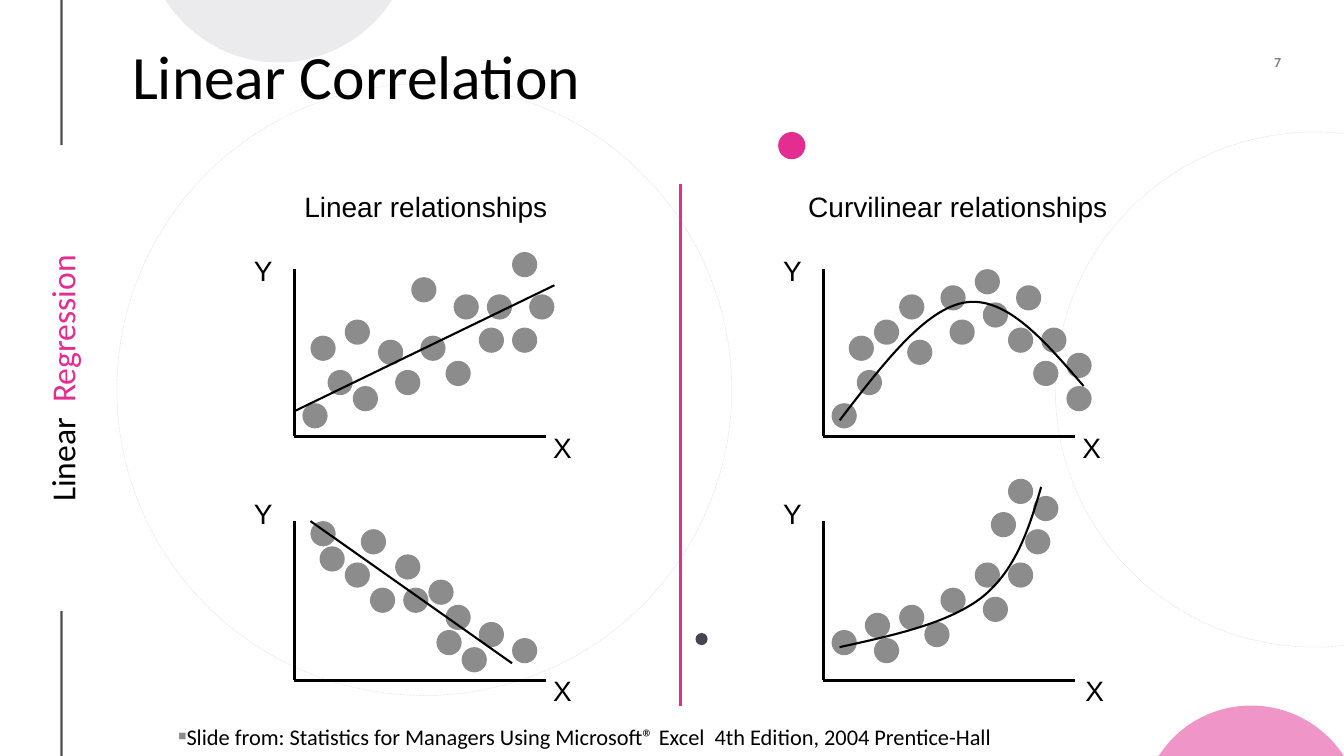
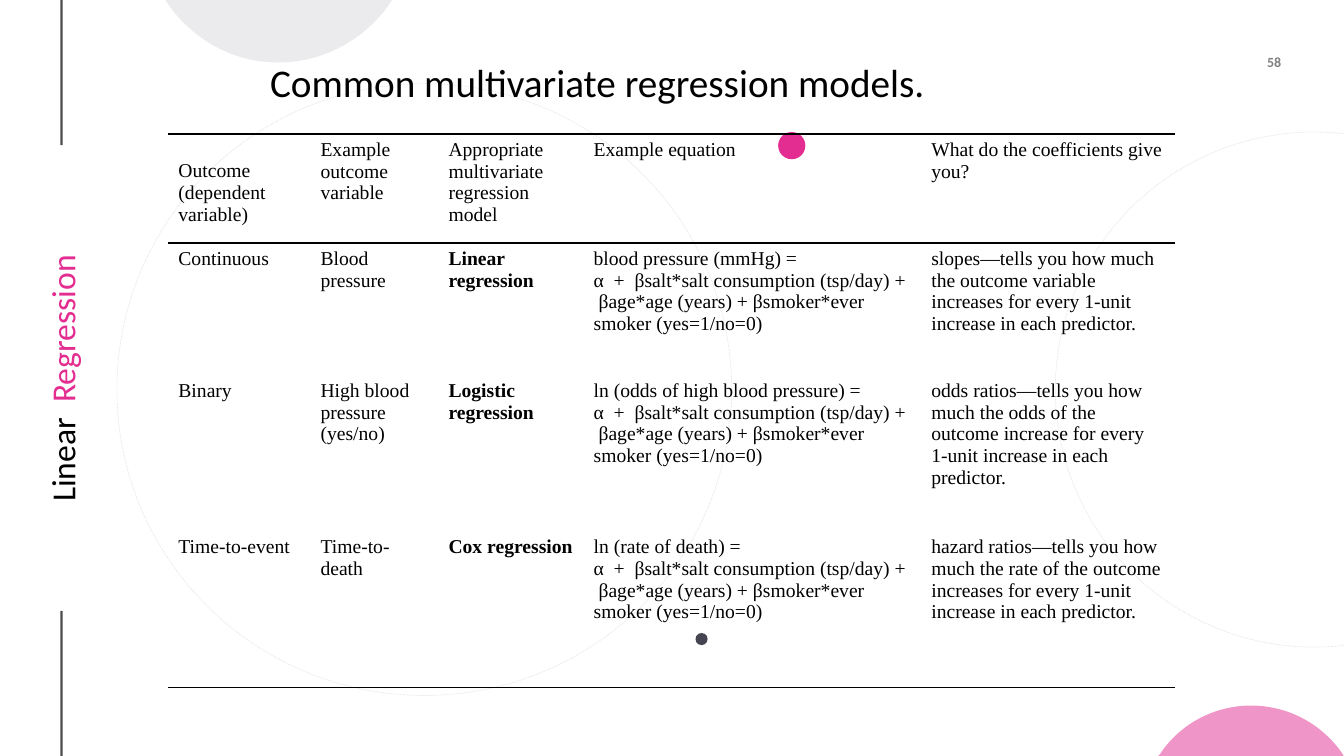
"""Build two regression slides: scatter patterns and a table of models."""
import dataclasses
import typing

import lxml.etree
import pptx
import pptx.dml.color
import pptx.enum.dml
import pptx.enum.shapes
import pptx.enum.text
import pptx.oxml.ns
import pptx.slide
import pptx.util

Inches = pptx.util.Inches
Pt = pptx.util.Pt
qn = pptx.oxml.ns.qn
ALIGN = pptx.enum.text.PP_ALIGN
ANCHOR = pptx.enum.text.MSO_ANCHOR
Point = tuple[float, float]
Area = tuple[float, float, float, float]

COLORS = {"ink": "000000", "pink": "E32D91", "slate": "454551", "mist": "D8D9DC", "dot": "8C8C8C"}
FONTS = {
    "title": {"name": "Calibri", "size": Pt(44), "bold": False},
    "subtitle": {"name": "Calibri", "size": Pt(28), "bold": False},
    "side": {"name": "Calibri", "size": Pt(24)},
    "number": {"name": "Calibri", "size": Pt(10), "bold": True},
    "citation": {"name": "Calibri", "size": Pt(16)},
    "label": {"name": "Arial", "size": Pt(20)},
    "cell": {"name": "Times New Roman", "size": Pt(14), "bold": False},
    "model": {"name": "Times New Roman", "size": Pt(14), "bold": True},
}
FLUSH = {"margin_left": 0, "margin_top": 0, "margin_right": 0, "margin_bottom": 0,
         "vertical_anchor": ANCHOR.MIDDLE, "word_wrap": True}
SIDE = FLUSH | {name: Inches(0.02) for name in FLUSH if name.startswith("margin")}
MIDDLE = {"vertical_anchor": ANCHOR.MIDDLE, "word_wrap": True,
          "auto_size": pptx.enum.text.MSO_AUTO_SIZE.NONE}
TOP = MIDDLE | {"vertical_anchor": ANCHOR.TOP}
DOT_SIZE = 0.25
AXIS_LENGTH = 2.5
NO_STYLE = "{2D5ABB26-0587-4C30-8999-92F81FD0307C}"


@dataclasses.dataclass(frozen=True)
class Disc:
    area: Area
    fill: str | None = None


@dataclasses.dataclass(frozen=True)
class Cap:
    fill: str
    corners: tuple[Point, ...]
    arc: tuple[Point, ...]


@dataclasses.dataclass(frozen=True)
class Scatter:
    origin: Point
    top: float
    y_label: Point
    x_label: Point
    trend: tuple[Point, ...]
    dots: tuple[Point, ...]


@dataclasses.dataclass(frozen=True)
class Model:
    outcome: str
    example: str
    name: str
    target: str
    meaning: str


DISCS = (
    Disc((10.47, 1.31, 5.14, 5.11)),
    Disc((1.16, 0.83, 6.1, 6.07)),
    Disc((6.9, 6.28, 0.12, 0.12), "slate"),
    Disc((7.72, 1.31, 0.27, 0.27), "pink"),
)
CAPS = (
    Cap("pink", ((13.33, 7.5), (11.49, 7.5), (11.51, 7.48)),
        ((11.7, 7.19), (12.04, 7), (12.41, 7), (12.79, 7), (13.12, 7.19), (13.32, 7.48))),
    Cap("mist", ((1.64, 0), (3.89, 0), (3.87, 0.03)),
        ((3.63, 0.38), (3.22, 0.62), (2.76, 0.62), (2.3, 0.62), (1.9, 0.38), (1.66, 0.03))),
)
SCATTERS = (
    Scatter((2.92, 6.75), 5.17, (2.42, 4.88), (5.39, 6.63), ((3.08, 5.17), (5.08, 6.58)),
            ((4.58, 6.42), (3.17, 5.42), (5.08, 6.33), (3.58, 5.25), (4.42, 6), (4.75, 6.17),
             (3.92, 5.5), (3.08, 5.17), (3.42, 5.58), (3.67, 5.83), (4.33, 6.25),
             (4.25, 5.75), (4, 5.83))),
    Scatter((2.92, 4.33), 2.67, (2.42, 2.47), (5.39, 4.22), ((2.92, 4.08), (5.5, 2.83)),
            ((3, 4), (3.25, 3.67), (5.08, 2.5), (5.25, 2.92), (3.5, 3.83), (4.83, 2.92),
             (4.42, 3.58), (4.5, 2.92), (4.08, 2.75), (3.08, 3.33), (3.42, 3.17),
             (3.75, 3.37), (4.75, 3.25), (4.17, 3.33), (3.92, 3.67), (5.08, 3.25))),
    Scatter((8.17, 6.75), 5.17, (7.67, 4.88), (10.67, 6.63),
            ((8.33, 6.42), (8.88, 6.3), (9.42, 6.18), (9.75, 5.92),
             (10.08, 5.65), (10.21, 5.24), (10.33, 4.83)),
            ((8.25, 6.25), (8.58, 6.08), (10.25, 4.92), (10.17, 5.25), (8.67, 6.33),
             (9.83, 5.08), (9.75, 5.92), (9.67, 5.58), (10, 4.75), (8.92, 6), (10, 5.58),
             (9.33, 5.83), (9.17, 6.17))),
    Scatter((8.17, 4.33), 2.67, (7.67, 2.47), (10.64, 4.22),
            ((8.33, 4.17), (8.76, 3.61), (9.18, 3.06), (9.58, 3),
             (9.99, 2.94), (10.37, 3.39), (10.75, 3.83)),
            ((8.25, 4), (8.5, 3.67), (10.58, 3.5), (10.08, 2.83), (8.92, 2.92), (10.58, 3.83),
             (10.25, 3.58), (9.75, 3), (9.33, 2.83), (8.42, 3.33), (8.67, 3.17), (9, 3.37),
             (10, 3.25), (9.42, 3.17), (9.67, 2.67), (10.33, 3.25))),
)
HEADINGS = ("Outcome (dependent variable)", "Example outcome variable",
            "Appropriate multivariate regression model", "Example equation",
            "What do the coefficients give you?")
PREDICTORS = ("α  +  βsalt*salt consumption (tsp/day) +  βage*age (years) + "
              "βsmoker*ever smoker (yes=1/no=0)")
MODELS = (
    Model("Continuous", "Blood pressure", "Linear regression", "blood pressure (mmHg) =",
          "slopes—tells you how much the outcome variable increases for every 1-unit "
          "increase in each predictor."),
    Model("Binary", "High blood pressure (yes/no)", "Logistic regression",
          "ln (odds of high blood pressure) =",
          "odds ratios—tells you how much the odds of the outcome increase for every 1-unit "
          "increase in each predictor."),
    Model("Time-to-event", "Time-to- death", "Cox regression", "ln (rate of death) =",
          "hazard ratios—tells you how much the rate of the outcome increases for every 1-unit "
          "increase in each predictor."),
)
COLUMN_WIDTHS = (1.41, 1.27, 1.44, 3.35, 2.52)
ROW_HEIGHTS = (1.08, 1.31, 1.55, 1.55)


def rgb(color: str) -> pptx.dml.color.RGBColor:
    return pptx.dml.color.RGBColor.from_string(COLORS[color])


def set_format(target: typing.Any, values: dict[str, typing.Any]) -> None:
    for name, value in values.items():
        setattr(target, name, value)


def set_font(font: typing.Any, style: str, color: str = "ink") -> None:
    set_format(font, FONTS[style])
    font.color.rgb = rgb(color)


def set_opacity(element: typing.Any, percent: int) -> None:
    for color in element.iter(qn("a:srgbClr")):
        lxml.etree.SubElement(color, qn("a:alpha"), val=str(percent * 1000))


def set_fill(shape: typing.Any, color: str) -> None:
    shape.fill.solid()
    shape.fill.fore_color.rgb = rgb(color)
    shape.line.fill.background()


def set_line(line: typing.Any, width: float, color: str = "ink") -> None:
    line.color.rgb = rgb(color)
    line.width = Pt(width)


def add_rule(page: pptx.slide.Slide, start: Point, end: Point, width: float,
             color: str = "ink", opacity: int = 100) -> None:
    rule = page.shapes.add_connector(pptx.enum.shapes.MSO_CONNECTOR.STRAIGHT,
                                     *map(Inches, (*start, *end)))
    set_line(rule.line, width, color)
    lxml.etree.SubElement(rule.element.spPr, qn("a:effectLst"))
    if opacity < 100:
        set_opacity(rule.element, opacity)


def add_disc(page: pptx.slide.Slide, disc: Disc) -> None:
    shape = page.shapes.add_shape(pptx.enum.shapes.MSO_SHAPE.OVAL, *map(Inches, disc.area))
    shape.shadow.inherit = False
    if disc.fill:
        set_fill(shape, disc.fill)
    else:
        shape.fill.background()
        set_line(shape.line, 0.5)
        shape.line.dash_style = pptx.enum.dml.MSO_LINE.ROUND_DOT
        set_opacity(shape.element, 10)


def add_curve(page: pptx.slide.Slide, corners: tuple[Point, ...], controls: tuple[Point, ...],
              close: bool) -> typing.Any:
    points = [(Inches(x), Inches(y)) for x, y in corners + controls]
    builder = page.shapes.build_freeform(*points[0], scale=1.0)
    builder.add_line_segments(points[1:], close=close)
    shape = builder.convert_to_shape()
    shape.shadow.inherit = False
    segments = list(shape.element.iter(qn("a:lnTo")))[len(corners) - 1:][:len(controls)]
    for first in range(0, len(segments), 3):
        bend = segments[first].makeelement(qn("a:cubicBezTo"), {})
        segments[first].addprevious(bend)
        for segment in segments[first:first + 3]:
            bend.append(segment[0])
            segment.getparent().remove(segment)
    return shape


def add_cap(page: pptx.slide.Slide, cap: Cap) -> None:
    shape = add_curve(page, cap.corners, cap.arc, True)
    set_fill(shape, cap.fill)
    set_opacity(shape.element, 50)


def add_text(page: pptx.slide.Slide, area: Area, spans: dict[str, str], style: str,
             frame: dict[str, typing.Any], align: ALIGN = ALIGN.LEFT) -> typing.Any:
    box = page.shapes.add_textbox(*map(Inches, area))
    set_format(box.text_frame, frame)
    para = box.text_frame.paragraphs[0]
    para.alignment = align
    for text, color in spans.items():
        span = para.add_run()
        span.text = text
        set_font(span.font, style, color)
    return box


def fill_placeholder(holder: typing.Any, area: Area, text: str, style: str,
                     frame: dict[str, typing.Any]) -> typing.Any:
    set_format(holder, dict(zip(("left", "top", "width", "height"), map(Inches, area))))
    set_format(holder.text_frame, frame)
    para = holder.text_frame.paragraphs[0]
    span = para.add_run()
    span.text = text
    set_format(para, {"alignment": ALIGN.LEFT, "space_before": Pt(0)})
    set_font(span.font, style)
    holder.element.getparent().append(holder.element)
    return para


def add_page(deck: typing.Any, layout: int, number: str) -> pptx.slide.Slide:
    page = deck.slides.add_slide(deck.slide_layouts[layout])
    add_rule(page, (0.61, 6.06), (0.61, 7.5), 1.5, opacity=70)
    side = add_text(page, (-1.69, 3.53, 4.61, 0.45), {"Linear  ": "ink", "Regression": "pink"},
                    "side", SIDE, ALIGN.CENTER)
    side.rotation = 270
    box = add_text(page, (11.94, 0.48, 0.77, 0.27), {number: "ink"}, "number", FLUSH, ALIGN.RIGHT)
    set_opacity(box.element, 50)
    add_rule(page, (0.61, 0), (0.61, 1.44), 1.5, opacity=70)
    for disc in DISCS:
        add_disc(page, disc)
    for cap in CAPS:
        add_cap(page, cap)
    return page


def add_scatter(page: pptx.slide.Slide, scatter: Scatter) -> None:
    left, base = scatter.origin
    add_rule(page, (left, scatter.top), scatter.origin, 2)
    for x, y in scatter.dots:
        add_disc(page, Disc((x, y, DOT_SIZE, DOT_SIZE), "dot"))
    add_rule(page, scatter.origin, (left + AXIS_LENGTH, base), 2)
    for text, spot in (("Y", scatter.y_label), ("X", scatter.x_label)):
        add_text(page, (*spot, 0.39, 0.43), {text: "ink"}, "label", {"word_wrap": False})
    if len(scatter.trend) == 2:
        add_rule(page, *scatter.trend, 1.5)
    else:
        curve = add_curve(page, scatter.trend[:1], scatter.trend[1:], False)
        curve.fill.background()
        set_line(curve.line, 1.5)


def add_correlation_page(deck: typing.Any) -> None:
    page = add_page(deck, 1, "7")
    for scatter in SCATTERS:
        add_scatter(page, scatter)
    for text, left, width in (("Linear relationships", 2.92, 2.92),
                              ("Curvilinear relationships", 7.92, 3.5)):
        add_text(page, (left, 1.83, width, 0.45), {text: "ink"}, "label", {"word_wrap": True})
    add_rule(page, (6.75, 1.83), (6.75, 7), 2.25, "pink")
    title = fill_placeholder(page.shapes.title, (1.21, 0.4, 11.21, 0.77), "Linear Correlation",
                             "title", MIDDLE)
    title.line_spacing = 0.9
    citation = fill_placeholder(
        page.placeholders[1], (1.67, 7.12, 8.59, 0.37),
        "Slide from: Statistics for Managers Using Microsoft® Excel  4th Edition, "
        "2004 Prentice-Hall", "citation", TOP)
    properties = citation._p.get_or_add_pPr()
    for name in ("marL", "indent"):
        properties.set(name, "0")
    tint = lxml.etree.SubElement(properties, qn("a:buClr"))
    lxml.etree.SubElement(tint, qn("a:srgbClr"), val=COLORS["dot"])
    lxml.etree.SubElement(properties, qn("a:buSzPct"), val="60000")
    lxml.etree.SubElement(properties, qn("a:buChar"), char="■")


def set_borders(cell: typing.Any, drawn: tuple[str, ...]) -> None:
    properties = cell._tc.get_or_add_tcPr()
    for place, side in enumerate(("lnL", "lnR", "lnT", "lnB")):
        border = properties.makeelement(qn(f"a:{side}"), {"w": str(int(Pt(1)))})
        if side in drawn:
            fill = lxml.etree.SubElement(border, qn("a:solidFill"))
            lxml.etree.SubElement(fill, qn("a:srgbClr"), val=COLORS["ink"])
        else:
            lxml.etree.SubElement(border, qn("a:noFill"))
        properties.insert(place, border)


def add_models_page(deck: typing.Any) -> None:
    page = add_page(deck, 5, "58")
    fill_placeholder(page.shapes.title, (2.58, 0.53, 6.82, 0.57),
                     "Common multivariate regression models.", "subtitle", MIDDLE)
    frame = page.shapes.add_table(len(MODELS) + 1, len(HEADINGS), *map(Inches, (
        1.67, 1.33, sum(COLUMN_WIDTHS), sum(ROW_HEIGHTS))))
    table = frame.table
    set_format(table, {"first_row": False, "horz_banding": False})
    table._tbl.tblPr.find(qn("a:tableStyleId")).text = NO_STYLE
    for column, width in zip(table.columns, COLUMN_WIDTHS):
        column.width = Inches(width)
    for row, height in zip(table.rows, ROW_HEIGHTS):
        row.height = Inches(height)
    rows = [HEADINGS] + [(model.outcome, model.example, model.name,
                          f"{model.target}\n{PREDICTORS}", model.meaning) for model in MODELS]
    borders = {0: ("lnT", "lnB"), 1: ("lnT",), len(MODELS): ("lnB",)}
    for r, texts in enumerate(rows):
        for c, text in enumerate(texts):
            cell = table.cell(r, c)
            cell.text = text
            cell.fill.background()
            set_borders(cell, borders.get(r, ()))
            for para in cell.text_frame.paragraphs:
                set_font(para.runs[0].font, "model" if r and c == 2 else "cell")
    table.cell(0, 0).margin_top = Inches(0.26)


def main() -> None:
    deck = pptx.Presentation()
    set_format(deck, {"slide_width": Inches(40 / 3), "slide_height": Inches(7.5)})
    add_correlation_page(deck)
    add_models_page(deck)
    deck.save("out.pptx")


if __name__ == "__main__":
    main()
